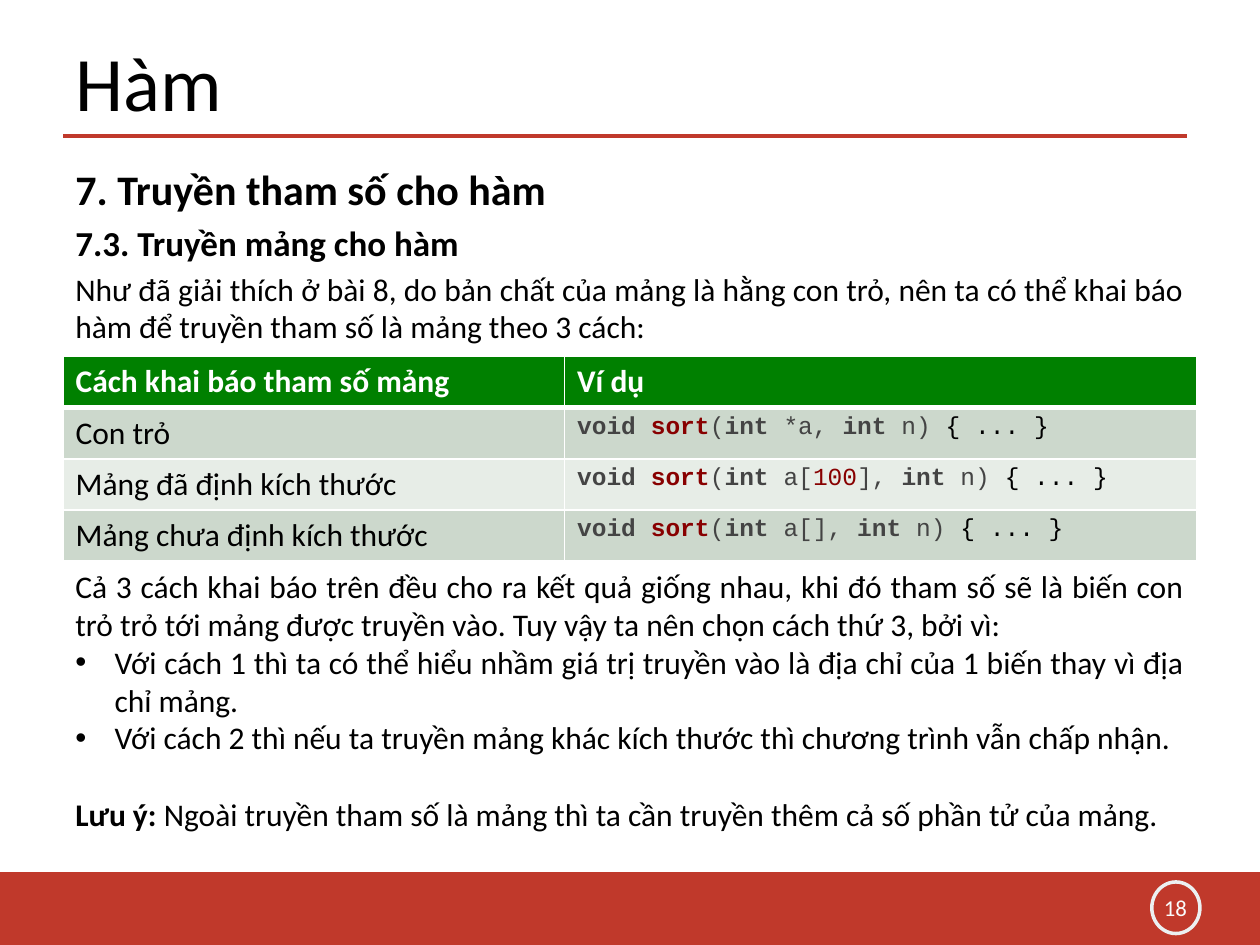
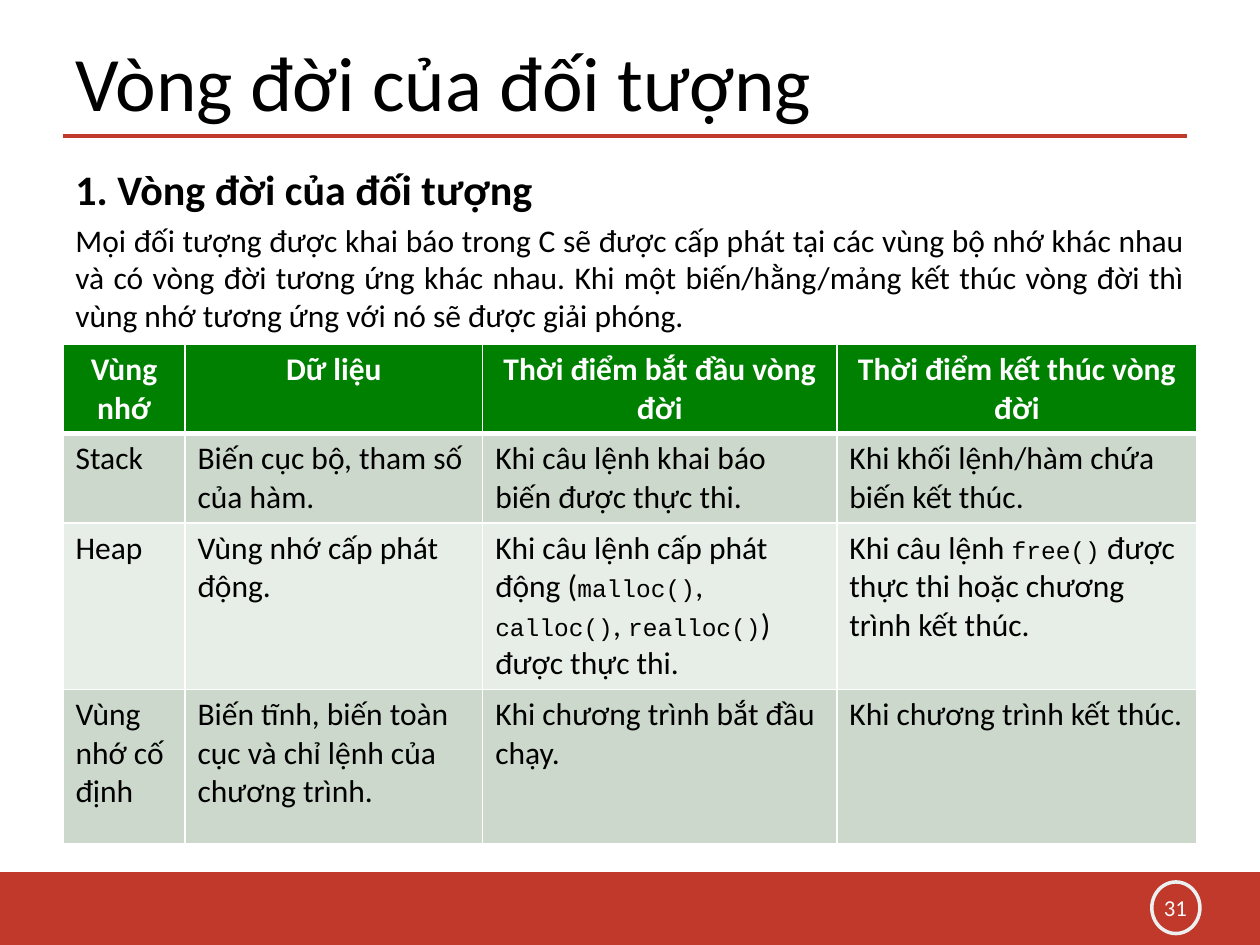
from dataclasses import dataclass
from typing import NamedTuple

from lxml.etree import SubElement as Sub
from pptx import Presentation
from pptx.dml.color import RGBColor as RGB
from pptx.enum.shapes import MSO_CONNECTOR as Conn, MSO_SHAPE as Form
from pptx.enum.text import MSO_ANCHOR as Anchor, PP_ALIGN as Align
from pptx.oxml.ns import qn
from pptx.util import Cm, Pt


class Box(NamedTuple):
    x: float
    y: float
    w: float
    h: float

    def inner(self, x, y, w, h):
        return Box(self.x + x, self.y + y, w, h)

    def size(self):
        return [Cm(v) for v in self]


class Style(NamedTuple):
    size: float
    color: str = "000000"
    bold: bool = False
    face: str = "Calibri"


@dataclass(frozen=True)
class Theme:
    red = "C0392B"
    ring = "ECF0F1"
    green = "008000"
    white = "FFFFFF"
    bands = ("CCD8CC", "E7EDE7")
    mono = "Courier New"
    text = {
        "title": Style(44),
        "major": Style(24, bold=True),
        "minor": Style(20, bold=True),
        "body": Style(18),
        "bold": Style(18, bold=True),
        "head": Style(18, "FFFFFF", True),
        "page": Style(13, "FAFCFC"),
        "mono": Style(14, face=mono),
        "code": Style(14, "444444", face=mono),
        "key": Style(14, "444444", True, mono),
        "name": Style(14, "880000", True, mono),
        "num": Style(14, "880000", face=mono),
    }


THEME = Theme()
WIDE, HIGH = 25.4, 19.05
LEFT, SPAN = 1.27, 22.86
HEAD = Box(LEFT, 0.76, 20.32, 1.75)
FOOT = Box(0, 17.58, WIDE, 1.47)
JUST = {"alignment": Align.JUSTIFY}
MID = {"alignment": Align.CENTER}


def put(item, vals):
    for key, val in vals.items():
        setattr(item, key, val)


def rise(style):
    return {**JUST, "space_before": Pt(THEME.text[style].size * 0.2)}


def write(para, runs, fmt):
    put(para, fmt)
    for words, name in runs:
        style = THEME.text[name]
        run = para.add_run()
        run.text = words
        put(run.font, {"size": Pt(style.size), "bold": style.bold, "name": style.face})
        run.font.color.rgb = RGB.from_string(style.color)


def fill(frame, paras):
    for i, (runs, fmt) in enumerate(paras):
        para = frame.add_paragraph() if i else frame.paragraphs[0]
        write(para, runs, fmt)


def note(slide, box, paras, anchor=Anchor.TOP):
    frame = slide.shapes.add_textbox(*box.size()).text_frame
    put(frame, {"word_wrap": True, "vertical_anchor": anchor})
    fill(frame, paras)
    return frame


def dot(para):
    props = para._p.get_or_add_pPr()
    props.set("marL", str(Cm(0.79)))
    props.set("indent", str(-Cm(0.79)))
    Sub(props, qn("a:buFont"), typeface="Arial")
    Sub(props, qn("a:buChar"), char="•")


def head(slide, box, title):
    y = Cm(box.y + 1.98)
    rule = slide.shapes.add_connector(Conn.STRAIGHT, Cm(box.x), y, Cm(box.x + 22.66), y)
    rule.line.color.rgb = RGB.from_string(THEME.red)
    rule.line.width = Pt(2.25)
    Sub(rule._element.spPr, qn("a:effectLst"))
    note(slide, box, [([(title, "title")], {})], Anchor.MIDDLE)


def foot(slide, box, page):
    band = slide.shapes.add_shape(Form.RECTANGLE, *box.size())
    band.fill.solid()
    band.fill.fore_color.rgb = RGB.from_string(THEME.red)
    band.line.fill.background()
    ring = slide.shapes.add_shape(Form.OVAL, *box.inner(23.22, 0.2, 0.97, 1.04).size())
    ring.fill.background()
    ring.line.color.rgb = RGB.from_string(THEME.ring)
    ring.line.width = Pt(2)
    for shape in (band, ring):
        shape.shadow.inherit = False
    note(slide, box.inner(23.06, 0.3, 1.27, 0.81), [([(page, "page")], MID)], Anchor.MIDDLE)


def edge(cell, row):
    props = cell._tc.get_or_add_tcPr()
    for side in "LRTB":
        thick = (row, side) in ((0, "B"), (1, "T"))
        line = Sub(props, qn(f"a:ln{side}"), w=str(Pt(3 if thick else 1)))
        Sub(Sub(line, qn("a:solidFill")), qn("a:srgbClr"), val=THEME.white)


def grid(slide, box, cols, highs, rows, top):
    table = slide.shapes.add_table(len(rows), len(cols), *box.size()).table
    put(table, {"first_row": False, "horz_banding": False})
    for col, width in zip(table.columns, cols):
        col.width = Cm(width)
    for r, (row, high) in enumerate(zip(rows, highs)):
        table.rows[r].height = Cm(high)
        tint = THEME.bands[(r - 1) % 2] if r else THEME.green
        for c, words in enumerate(row):
            cell = table.cell(r, c)
            edge(cell, r)
            cell.fill.solid()
            cell.fill.fore_color.rgb = RGB.from_string(tint)
            runs = words if isinstance(words, list) else [(words, "body" if r else "head")]
            fill(cell.text_frame, [(runs, {} if r else top)])


def sort(*args):
    return [("void ", "key"), ("sort", "name"), ("(", "code"), ("int", "key"), *args,
            ("int", "key"), (" n) ", "code"), ("{ ... }", "mono")]


def frame(deck, title, page):
    slide = deck.slides.add_slide(deck.slide_layouts[6])
    foot(slide, FOOT, page)
    head(slide, HEAD, title)
    return slide


def lead(slide, box, items):
    note(slide, box, [([(words, style)], rise(style)) for words, style in items])


def arrays(deck, box):
    slide = frame(deck, "Hàm", "18")
    lead(slide, box.inner(0, 0, SPAN, 4.01), [
        ("7. Truyền tham số cho hàm", "major"),
        ("7.3. Truyền mảng cho hàm", "minor"),
        ("Như đã giải thích ở bài 8, do bản chất của mảng là hằng con trỏ, nên ta có thể "
         "khai báo hàm để truyền tham số là mảng theo 3 cách:", "body"),
    ])
    grid(slide, box.inner(0, 4.01, SPAN, 4.12), (10.11, 12.75), [1.03] * 4, [
        ("Cách khai báo tham số mảng", "Ví dụ"),
        ("Con trỏ", sort((" *a, ", "code"))),
        ("Mảng đã định kích thước", sort((" a[", "code"), ("100", "num"), ("], ", "code"))),
        ("Mảng chưa định kích thước", sort((" a[], ", "code"))),
    ], {})
    text = note(slide, box.inner(0, 8.13, SPAN, 5.64), [
        ([("Cả 3 cách khai báo trên đều cho ra kết quả giống nhau, khi đó tham số sẽ là biến "
           "con trỏ trỏ tới mảng được truyền vào. Tuy vậy ta nên chọn cách thứ 3, bởi vì:",
           "body")], JUST),
        ([("Với cách 1 thì ta có thể hiểu nhầm giá trị truyền vào là địa chỉ của 1 biến "
           "thay vì địa chỉ mảng.", "body")], JUST),
        ([("Với cách 2 thì nếu ta truyền mảng khác kích thước thì chương trình vẫn chấp "
           "nhận.", "body")], JUST),
        ([("Lưu ý: ", "bold"),
          ("Ngoài truyền tham số là mảng thì ta cần truyền thêm cả số phần tử của mảng.",
           "body")], {**JUST, "space_before": Pt(22)}),
    ])
    for para in text.paragraphs[1:3]:
        dot(para)


def spans(deck, box):
    slide = frame(deck, "Vòng đời của đối tượng", "31")
    lead(slide, box.inner(0, 0, SPAN, 3.76), [
        ("1. Vòng đời của đối tượng", "major"),
        ("Mọi đối tượng được khai báo trong C sẽ được cấp phát tại các vùng bộ nhớ khác nhau "
         "và có vòng đời tương ứng khác nhau. Khi một biến/hằng/mảng kết thúc vòng đời thì "
         "vùng nhớ tương ứng với nó sẽ được giải phóng.", "body"),
    ])
    alloc = [("Khi câu lệnh cấp phát động (", "body"), ("malloc()", "mono"), (", ", "body"),
             ("calloc()", "mono"), (", ", "body"), ("realloc()", "mono"),
             (") được thực thi.", "body")]
    free = [("Khi câu lệnh ", "body"), ("free()", "mono"),
            (" được thực thi hoặc chương trình kết thúc.", "body")]
    grid(slide, box.inner(0, 3.76, SPAN, 10.06), (2.46, 6, 7.14, 7.26), (1.8, 1.8, 3.36, 3.1), [
        ("Vùng nhớ", "Dữ liệu", "Thời điểm bắt đầu vòng đời", "Thời điểm kết thúc vòng đời"),
        ("Stack", "Biến cục bộ, tham số của hàm.", "Khi câu lệnh khai báo biến được thực thi.",
         "Khi khối lệnh/hàm chứa biến kết thúc."),
        ("Heap", "Vùng nhớ cấp phát động.", alloc, free),
        ("Vùng nhớ cố định", "Biến tĩnh, biến toàn cục và chỉ lệnh của chương trình.",
         "Khi chương trình bắt đầu chạy.", "Khi chương trình kết thúc."),
    ], MID)


def main():
    deck = Presentation()
    put(deck, {"slide_width": Cm(WIDE), "slide_height": Cm(HIGH)})
    body = Box(LEFT, 3.18, SPAN, 13.8)
    for make in (arrays, spans):
        make(deck, body)
    deck.save("out.pptx")


if __name__ == "__main__":
    main()
